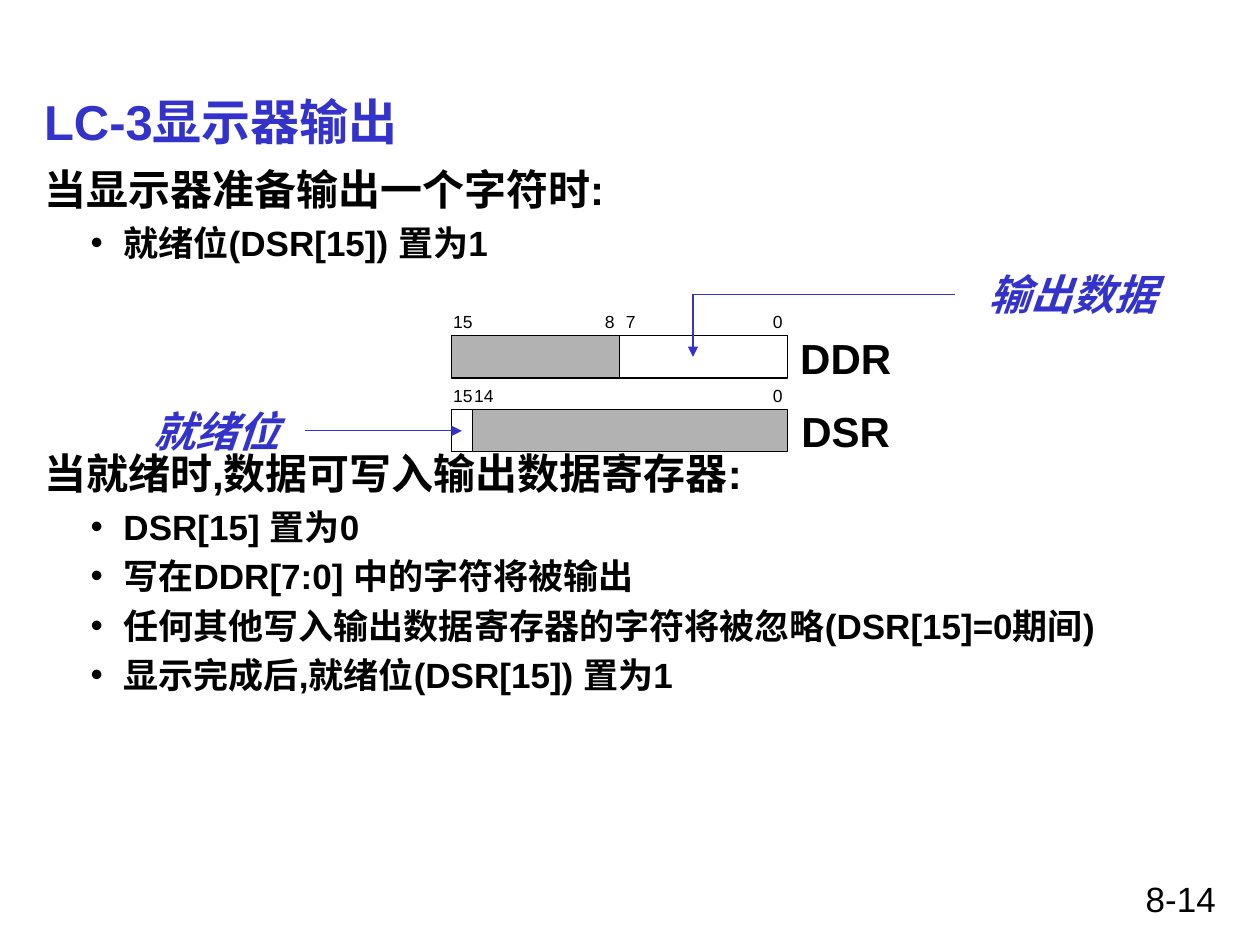
from lxml import etree
from pptx import Presentation
from pptx.dml.color import RGBColor
from pptx.enum.shapes import MSO_CONNECTOR, MSO_SHAPE
from pptx.enum.text import MSO_ANCHOR, MSO_AUTO_SIZE, PP_ALIGN
from pptx.oxml.ns import qn
from pptx.util import Cm, Pt

STRAIGHT = MSO_CONNECTOR.STRAIGHT
RECTANGLE = MSO_SHAPE.RECTANGLE
TOP, MIDDLE = MSO_ANCHOR.TOP, MSO_ANCHOR.MIDDLE
FIT_TEXT = MSO_AUTO_SIZE.SHAPE_TO_FIT_TEXT
LEFT, CENTER, RIGHT = PP_ALIGN.LEFT, PP_ALIGN.CENTER, PP_ALIGN.RIGHT

BLACK = RGBColor(0x00, 0x00, 0x00)
WHITE = RGBColor(0xFF, 0xFF, 0xFF)
GRAY = RGBColor(0xB2, 0xB2, 0xB2)
BLUE = RGBColor(0x33, 0x33, 0xCC)

FONT = "Arial"
MARGIN = 0.64
CONTENT_WIDTH = 24.13
REGISTER_LEFT = 9.1
REGISTER_WIDTH = 6.77
REGISTER_HEIGHT = 0.85
BIT_WIDTH = REGISTER_WIDTH / 16
DDR_TOP = 6.77
DSR_TOP = 8.26


def set_font(paragraph, size, color=BLACK, bold=False, italic=False):
    font = paragraph.font
    font.name = FONT
    font.size = Pt(size)
    font.color.rgb = color
    font.bold = bold
    font.italic = italic


def add_text(slide, text, left, top, width, height, size, color=BLACK,
             bold=False, align=LEFT, anchor=TOP):
    box = slide.shapes.add_textbox(Cm(left), Cm(top), Cm(width), Cm(height))
    frame = box.text_frame
    frame.word_wrap = True
    frame.vertical_anchor = anchor
    paragraph = frame.paragraphs[0]
    paragraph.text = text
    paragraph.alignment = align
    set_font(paragraph, size, color, bold)


def add_label(slide, text, center, top, width, height, size, color=BLACK,
              bold=False, italic=False):
    """Add one unwrapped line of text, centred on a horizontal position."""
    box = slide.shapes.add_textbox(
        Cm(center - width / 2), Cm(top), Cm(width), Cm(height))
    frame = box.text_frame
    frame.word_wrap = False
    frame.auto_size = FIT_TEXT
    paragraph = frame.paragraphs[0]
    paragraph.text = text
    paragraph.alignment = CENTER
    set_font(paragraph, size, color, bold, italic)


def add_bullet(paragraph):
    properties = paragraph._p.get_or_add_pPr()
    properties.set("marL", str(Cm(1.6)))
    properties.set("indent", str(Cm(-0.66)))
    etree.SubElement(properties, qn("a:buFont"), typeface=FONT)
    etree.SubElement(properties, qn("a:buChar"), char="•")


def add_section(slide, top, height, heading, points):
    """Add a heading followed by its bulleted points."""
    box = slide.shapes.add_textbox(
        Cm(MARGIN), Cm(top), Cm(CONTENT_WIDTH), Cm(height))
    frame = box.text_frame
    frame.word_wrap = True
    for index, text in enumerate([heading, *points]):
        paragraph = frame.add_paragraph() if index else frame.paragraphs[0]
        size = 20 if index else 24
        paragraph.text = text
        paragraph.space_before = Pt(size * 0.21)
        set_font(paragraph, size, bold=True)
        if index:
            paragraph.level = 1
            add_bullet(paragraph)


def add_register(slide, name, top, fields):
    """Draw a 16-bit register from (high bit, low bit, fill) fields."""
    for high, low, color in fields:
        field = slide.shapes.add_shape(
            RECTANGLE, Cm(REGISTER_LEFT + (15 - high) * BIT_WIDTH), Cm(top),
            Cm((high - low + 1) * BIT_WIDTH), Cm(REGISTER_HEIGHT))
        field.shadow.inherit = False
        field.fill.solid()
        field.fill.fore_color.rgb = color
        field.line.color.rgb = BLACK
        field.line.width = Pt(0.75)
        for bit in sorted({high, low}):
            center = REGISTER_LEFT + (15.5 - bit) * BIT_WIDTH
            add_label(slide, str(bit), center + 0.02, top - 0.63, 1, 0.68, 10)
    add_label(slide, name, 17.05, top - 0.2, 2.34, 1.27, 24, bold=True)


def add_line(slide, start, end, arrow=False):
    line = slide.shapes.add_connector(
        STRAIGHT, Cm(start[0]), Cm(start[1]), Cm(end[0]), Cm(end[1]))
    line.line.color.rgb = BLUE
    line.line.width = Pt(0.75)
    if arrow:
        etree.SubElement(line.line._get_or_add_ln(), qn("a:tailEnd"), type="triangle")
    etree.SubElement(line._element.spPr, qn("a:effectLst"))


def main():
    presentation = Presentation()
    presentation.slide_width = Cm(25.4)
    presentation.slide_height = Cm(19.05)
    slide = presentation.slides.add_slide(presentation.slide_layouts[6])

    add_text(slide, "8-14", 18.2, 17.57, 6.56, 1.06, 20, align=RIGHT)
    add_text(slide, "LC-3显示器输出", MARGIN, 1.69, CONTENT_WIDTH, 1.48, 28,
             BLUE, bold=True, anchor=MIDDLE)
    add_section(slide, 3.17, 2.5, "当显示器准备输出一个字符时:",
                ["就绪位(DSR[15]) 置为1"])
    add_section(slide, 8.9, 6, "当就绪时,数据可写入输出数据寄存器:", [
        "DSR[15] 置为0",
        "写在DDR[7:0] 中的字符将被输出",
        "任何其他写入输出数据寄存器的字符将被忽略(DSR[15]=0期间)",
        "显示完成后,就绪位(DSR[15]) 置为1",
    ])

    add_register(slide, "DDR", DDR_TOP, [(15, 8, GRAY), (7, 0, WHITE)])
    add_register(slide, "DSR", DSR_TOP, [(15, 15, WHITE), (14, 0, GRAY)])

    add_label(slide, "输出数据", 21.62, 5.28, 3.96, 1.3, 24, BLUE, True, True)
    data_corner = (13.97, 5.93)
    add_line(slide, (19.26, 5.93), data_corner)
    add_line(slide, data_corner, (13.97, DDR_TOP + REGISTER_HEIGHT / 2), arrow=True)

    add_label(slide, "就绪位", 4.37, 8.05, 3.1, 1.3, 24, BLUE, True, True)
    ready_middle = DSR_TOP + REGISTER_HEIGHT / 2
    add_line(slide, (6.14, ready_middle),
             (REGISTER_LEFT + BIT_WIDTH / 2, ready_middle), arrow=True)

    presentation.save("out.pptx")


if __name__ == "__main__":
    main()
